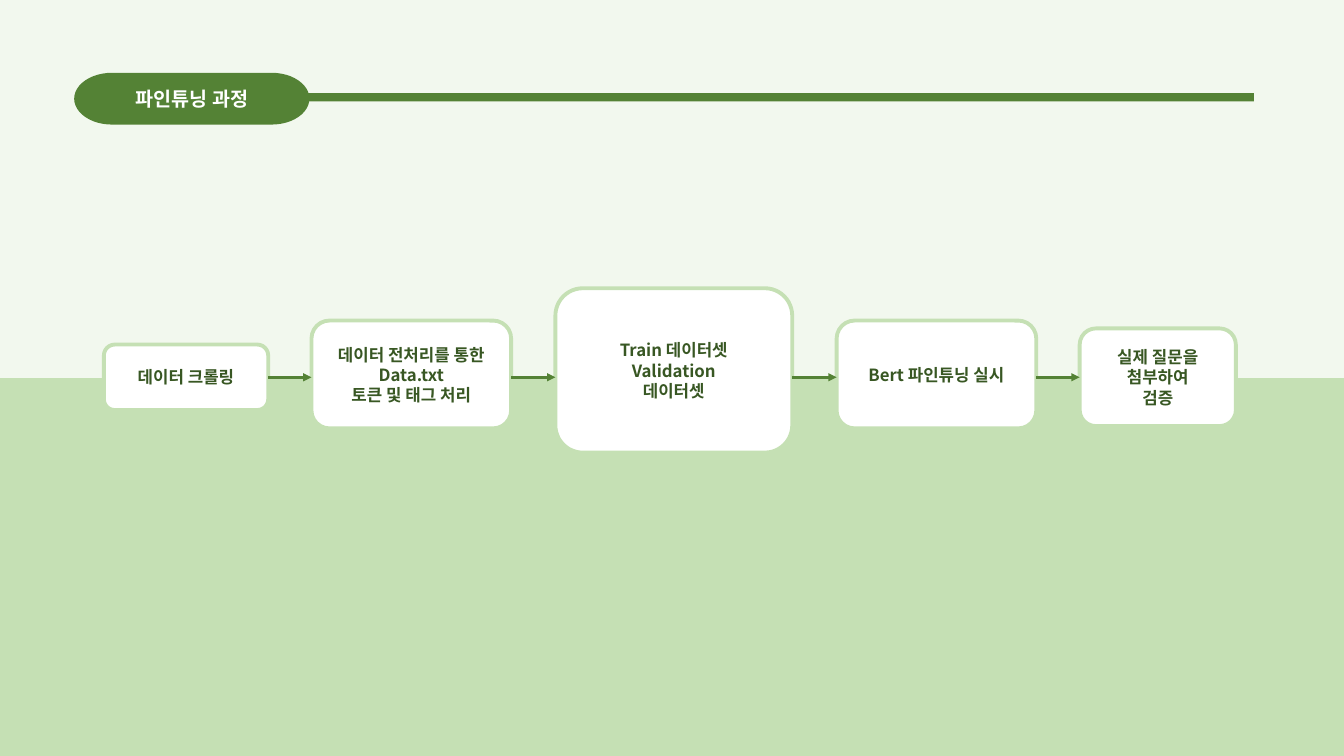
import dataclasses
import itertools

import lxml.etree
import pptx
import pptx.dml.color
import pptx.enum.shapes
import pptx.enum.text
import pptx.oxml.ns
import pptx.util

Pt = pptx.util.Pt
Kind = pptx.enum.shapes.MSO_SHAPE
qn = pptx.oxml.ns.qn


@dataclasses.dataclass(frozen=True)
class Theme:
    font: str = "Noto Sans CJK KR"
    white: str = "FFFFFF"
    pale: str = "F2F8EE"
    light: str = "C5E0B4"
    green: str = "548235"
    dark: str = "385723"
    title: float = 14
    body: float = 12
    edge: float = 2.75
    arrow: float = 1.75


def rgb(code):
    return pptx.dml.color.RGBColor.from_string(code)


class Deck:
    def __init__(self, theme, slide):
        self.theme = theme
        self.slide = slide

    def block(self, kind, rect, fill, line=None):
        shape = self.slide.shapes.add_shape(kind, *map(Pt, rect))
        shape.shadow.inherit = False
        shape.fill.solid()
        shape.fill.fore_color.rgb = rgb(fill)
        if line:
            shape.line.color.rgb = rgb(line)
            shape.line.width = Pt(self.theme.edge)
        else:
            shape.line.fill.background()
        return shape

    def label(self, shape, text, size, color):
        frame = shape.text_frame
        frame.text = text
        frame.word_wrap = True
        frame.vertical_anchor = pptx.enum.text.MSO_ANCHOR.MIDDLE
        for para in frame.paragraphs:
            para.alignment = pptx.enum.text.PP_ALIGN.CENTER
            for run in para.runs:
                run.font.name = self.theme.font
                run.font.size = Pt(size)
                run.font.bold = True
                run.font.color.rgb = rgb(color)
                east = lxml.etree.SubElement(run.font._element, qn("a:ea"))
                east.set("typeface", self.theme.font)

    def title(self, rect, text):
        pill = self.block(Kind.FLOWCHART_TERMINATOR, rect, self.theme.green)
        self.label(pill, text, self.theme.title, self.theme.white)

    def step(self, rect, text):
        box = self.block(Kind.FLOWCHART_ALTERNATE_PROCESS, rect,
                         self.theme.white, self.theme.light)
        self.label(box, text, self.theme.body, self.theme.dark)
        return box

    def arrow(self, left, right, level):
        line = self.slide.shapes.add_connector(
            pptx.enum.shapes.MSO_CONNECTOR.STRAIGHT,
            left.left + left.width, Pt(level), right.left, Pt(level))
        line.line.color.rgb = rgb(self.theme.green)
        line.line.width = Pt(self.theme.arrow)
        tail = lxml.etree.SubElement(line.line._get_or_add_ln(), qn("a:tailEnd"))
        tail.set("type", "triangle")
        lxml.etree.SubElement(line._element.spPr, qn("a:effectLst"))
        if left.top + left.height // 2 == Pt(level):
            line.begin_connect(left, 3)
        if right.top + right.height // 2 == Pt(level):
            line.end_connect(right, 1)


STEPS = [
    ((74.2, 246.1, 117.4, 46.8), "데이터 크롤링"),
    ((222.5, 229, 142.6, 77), "데이터 전처리를 통한\nData.txt\n토큰 및 태그 처리"),
    ((396.7, 205.9, 169.2, 117.4), "Train 데이터셋\nValidation\n데이터셋"),
    ((597.6, 229, 142.6, 77), "Bert 파인튜닝 실시"),
    ((771.2, 234.6, 111.6, 69.8), "실제 질문을\n첨부하여\n검증"),
]
LEVEL = 269.5


def main():
    show = pptx.Presentation()
    show.slide_width, show.slide_height = Pt(960), Pt(540)
    theme = Theme()
    deck = Deck(theme, show.slides.add_slide(show.slide_layouts[6]))
    deck.block(Kind.RECTANGLE, (0, 270, 960, 270), theme.light)
    deck.block(Kind.RECTANGLE, (0, 0, 960, 270), theme.pale)
    deck.block(Kind.RECTANGLE, (70.6, 66.5, 825.1, 6), theme.green)
    deck.title((53, 52, 168, 37), "파인튜닝 과정")
    boxes = [deck.step(rect, text) for rect, text in STEPS]
    for left, right in itertools.pairwise(boxes):
        deck.arrow(left, right, LEVEL)
    show.save("out.pptx")


if __name__ == "__main__":
    main()
